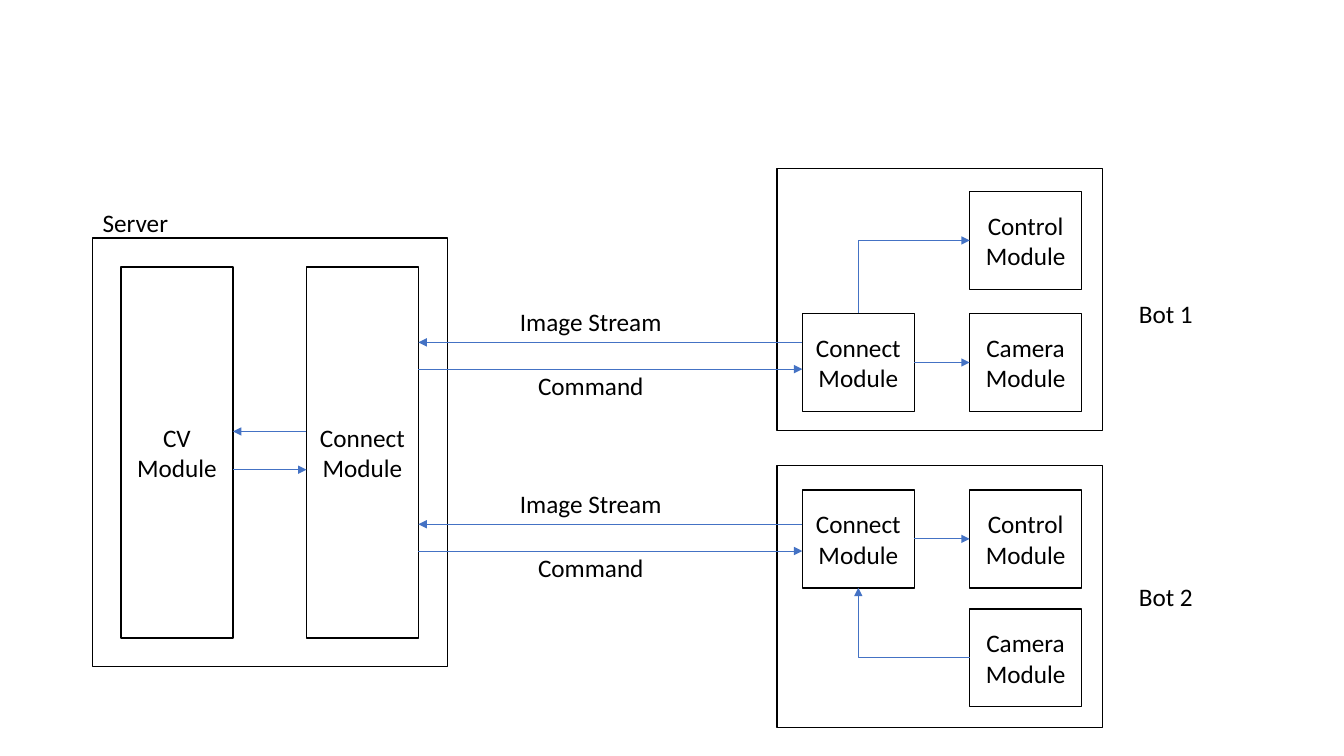
from lxml.etree import SubElement
from pptx import Presentation
from pptx.dml.color import RGBColor
from pptx.enum.shapes import MSO_CONNECTOR as Link, MSO_SHAPE as Preset
from pptx.enum.text import MSO_ANCHOR as Anchor, MSO_AUTO_SIZE as AutoSize, PP_ALIGN as Align
from pptx.oxml.ns import qn
from pptx.util import Pt

COLORS = {"ink": "000000", "arrow": "4472C4"}
FONT, TEXT_SIZE = "Calibri", 18

# Content: boxes are (left, top, width, height)
SERVER = ("Server", (66.2, 169.9, 253.4, 306))
SERVER_MODULES = [("Connect", 218.9), ("CV", 86.4)]
SERVER_LINKS = [((218.9, 308.2), (166.4, 308.2)), ((166.4, 335.5), (218.9, 335.5))]
BOTS = [
    {"name": "Bot 1", "top": 120.2, "label_top": 209.6, "stream_y": 244.6,
     "modules": {"Control": 136.8, "Camera": 223.9}, "connect_top": 223.9},
    {"name": "Bot 2", "top": 332.6, "label_top": 411.8, "stream_y": 374.5,
     "modules": {"Control": 349.9, "Camera": 434.9}, "connect_top": 349.9},
]

# Shared sizes and columns
MODULE_W, MODULE_H, TALL_H = 80, 70, 265
TALL_TOP = 190.8
BOT_LEFT, BOT_W, BOT_H = 555.1, 232.6, 187.2
CONNECT_LEFT, PART_LEFT = 573.1, 692.6
BOT_LABEL_LEFT, LABEL_H = 806.4, 28.8
FLOW_CENTER, COMMAND_GAP = 422.6, 19.1
STREAM_LABEL_RISE, COMMAND_LABEL_RISE = 29.2, 2.9

deck = Presentation()
deck.slide_width, deck.slide_height = Pt(960), Pt(540)
page = deck.slides.add_slide(deck.slide_layouts[6])


def color(name):
    return RGBColor.from_string(COLORS[name])


def write(para, text):
    span = para.add_run()
    span.text = text
    span.font.name = FONT
    span.font.size = Pt(TEXT_SIZE)
    span.font.color.rgb = color("ink")


def frame(left, top, width, height):
    box = page.shapes.add_shape(Preset.RECTANGLE, Pt(left), Pt(top), Pt(width), Pt(height))
    box.shadow.inherit = False
    box.fill.background()
    box.line.color.rgb = color("ink")
    box.line.width = Pt(1)
    return box


def module(name, left, top, height=MODULE_H):
    body = frame(left, top, MODULE_W, height).text_frame
    body.vertical_anchor = Anchor.MIDDLE
    for index, word in enumerate((name, "Module")):
        para = body.add_paragraph() if index else body.paragraphs[0]
        para.alignment = Align.CENTER
        write(para, word)


def label(text, left, top, width):
    box = page.shapes.add_textbox(Pt(left), Pt(top), Pt(width), Pt(LABEL_H))
    box.text_frame.word_wrap = False
    box.text_frame.auto_size = AutoSize.SHAPE_TO_FIT_TEXT
    write(box.text_frame.paragraphs[0], text)


def arrow(start, end, bend=None):
    """Straight arrow, or one corner: bend is "across" or "up" for its first leg."""
    (x1, y1), (x2, y2) = start, end
    if bend == "up":  # the box is laid on its side, then turned a quarter
        mid_x, mid_y = (x1 + x2) / 2, (y1 + y2) / 2
        half_w, half_h = abs(y2 - y1) / 2, abs(x2 - x1) / 2
        x1, y1, x2, y2 = mid_x + half_w, mid_y + half_h, mid_x - half_w, mid_y - half_h
    link = page.shapes.add_connector(Link.ELBOW if bend else Link.STRAIGHT,
                                     Pt(x1), Pt(y1), Pt(x2), Pt(y2))
    link.line.color.rgb = color("arrow")
    link.line.width = Pt(0.5)
    props = link._element.spPr
    if bend:
        props.find(qn("a:prstGeom")).set("prst", "bentConnector2")
    if bend == "up":
        props.find(qn("a:xfrm")).set("rot", "5400000")
    SubElement(props.find(qn("a:ln")), qn("a:tailEnd"), type="triangle")
    SubElement(props, qn("a:effectLst"))


# Server
server_name, server_box = SERVER
frame(*server_box)
label(server_name, server_box[0], 144.7, 61.9)
for name, left in SERVER_MODULES:
    module(name, left, TALL_TOP, TALL_H)
for start, end in SERVER_LINKS:
    arrow(start, end)
server_edge = SERVER_MODULES[0][1] + MODULE_W

for bot in BOTS:
    # Bot frame and modules
    frame(BOT_LEFT, bot["top"], BOT_W, BOT_H)
    label(bot["name"], BOT_LABEL_LEFT, bot["label_top"], 53.3)
    module("Connect", CONNECT_LEFT, bot["connect_top"])
    for name, top in bot["modules"].items():
        module(name, PART_LEFT, top)

    # Links inside the bot
    connect_top = bot["connect_top"]
    column_x = CONNECT_LEFT + MODULE_W / 2
    for top in bot["modules"].values():
        middle = top + MODULE_H / 2
        if top == connect_top:
            arrow((CONNECT_LEFT + MODULE_W, middle), (PART_LEFT, middle))
        elif top < connect_top:
            arrow((column_x, connect_top), (PART_LEFT, middle), "up")
        else:
            arrow((PART_LEFT, middle), (column_x, connect_top + MODULE_H), "across")

    # Traffic with the server
    stream_y = bot["stream_y"]
    command_y = stream_y + COMMAND_GAP
    arrow((CONNECT_LEFT, stream_y), (server_edge, stream_y))
    arrow((server_edge, command_y), (CONNECT_LEFT, command_y))
    for text, top, width in (("Image Stream", stream_y - STREAM_LABEL_RISE, 116.6),
                             ("Command", command_y - COMMAND_LABEL_RISE, 90.7)):
        label(text, FLOW_CENTER - width / 2, top, width)

deck.save("out.pptx")
